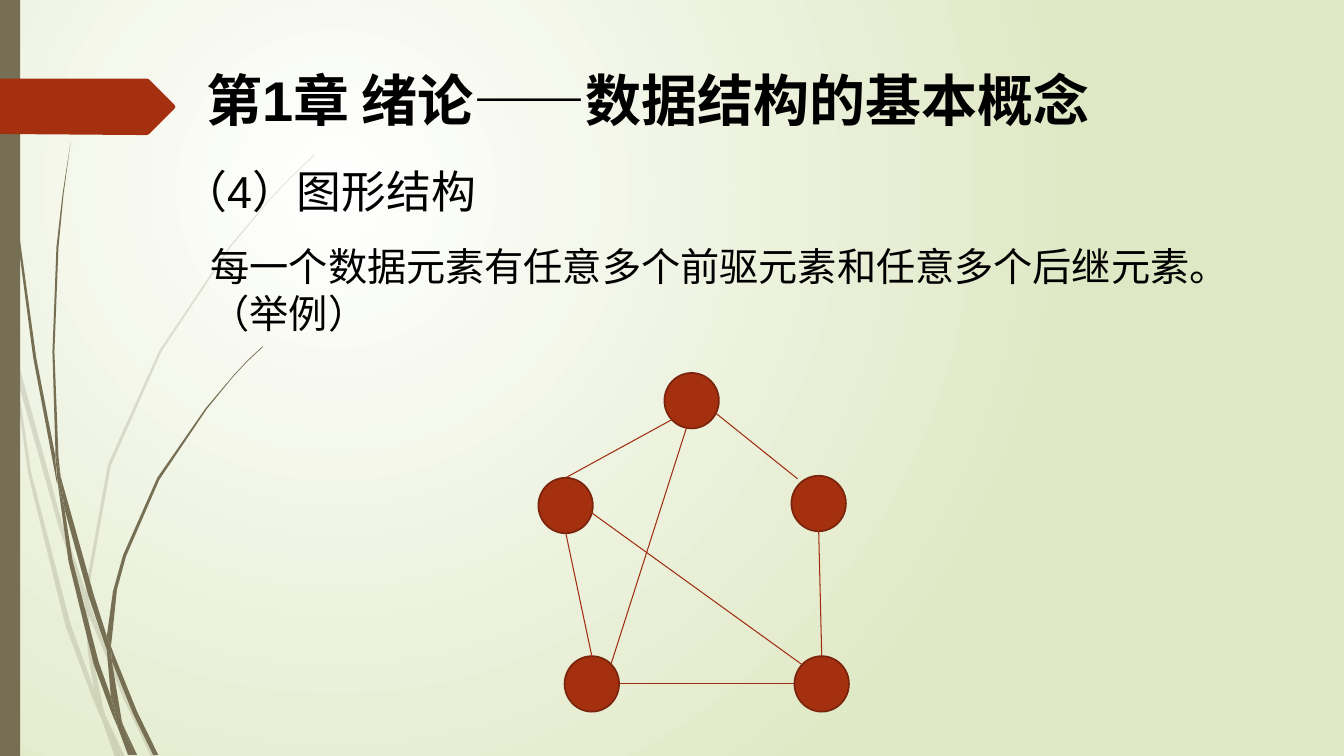
from dataclasses import dataclass

from lxml import etree
from pptx import Presentation
from pptx.dml.color import RGBColor
from pptx.enum.shapes import MSO_CONNECTOR, MSO_SHAPE
from pptx.enum.text import MSO_ANCHOR, MSO_AUTO_SIZE, PP_ALIGN
from pptx.oxml.ns import qn
from pptx.util import Inches, Pt

STRAIGHT = MSO_CONNECTOR.STRAIGHT
OVAL, RECTANGLE = MSO_SHAPE.OVAL, MSO_SHAPE.RECTANGLE
MIDDLE, TOP = MSO_ANCHOR.MIDDLE, MSO_ANCHOR.TOP
FIXED, GROW = MSO_AUTO_SIZE.NONE, MSO_AUTO_SIZE.SHAPE_TO_FIT_TEXT
CENTER, LEFT = PP_ALIGN.CENTER, PP_ALIGN.LEFT


@dataclass(frozen=True)
class Theme:
    font: str = "Arial"
    title_size: int = 40
    heading_size: int = 32
    body_size: int = 28
    text: str = "000000"
    accent: str = "A53010"
    node_line: str = "7A240C"
    edge: str = "9E2E0F"
    grass: str = "766F54"
    glow: str = "FFFFFF"
    backdrop: str = "DFE8C4"
    pale_opacity: int = 20


# Outlines of the grass blades, in inches
PALE_BLADES = [
    [(0.11, 3.5), (0.09, 3.22), (0, 2.82), (0, 2.99), (0.1, 3.44)],
    [(0.58, 5.22), (0.84, 5.99), (0.85, 5.86), (0.62, 5.2), (0.14, 3.45), (0.17, 3.76)],
    [(0.92, 6.07), (0.88, 5.96), (0.88, 6.1), (1.23, 6.94), (1.5, 7.51), (1.55, 7.51),
     (1.27, 6.92)],
    [(1.19, 7.51), (1.24, 7.51), (1.05, 7.11)],
    [(0.93, 6.83), (0.7, 6.19), (0.31, 4.69), (0.17, 3.76), (0.11, 3.5), (0.28, 4.7),
     (0.65, 6.21), (0.92, 6.93), (1.01, 7.14), (0.99, 7.07)],
    [(0.84, 5.99), (0.87, 6.46), (0.93, 6.83), (0.96, 6.92), (1.05, 7.11), (1.03, 7.06),
     (0.91, 6.46), (0.88, 6.1), (0.88, 6.08)],
    [(0.88, 5.84), (1.1, 4.62), (1.6, 3.49), (2.29, 2.45), (2.68, 1.98), (2.9, 1.75),
     (3.12, 1.54), (3.12, 1.53), (2.89, 1.75), (2.68, 1.97), (2.28, 2.44), (1.58, 3.48),
     (1.07, 4.61), (0.85, 5.84), (0.85, 5.86), (0.88, 5.96)],
    [(1.01, 7.14), (1.14, 7.51), (1.19, 7.51)],
    [(0.88, 6.08), (0.88, 6.1), (0.88, 5.96), (0.85, 5.86), (0.84, 5.99)],
    [(0.96, 6.92), (0.93, 6.83), (0.99, 7.07), (1.01, 7.14), (1.19, 7.51), (1.05, 7.11)],
]
DARK_BLADES = [
    [(0.07, 1.1), (0.17, 2.33), (0.33, 3.55), (0.56, 4.77), (0.57, 4.81), (0.55, 4.57),
     (0.55, 4.53), (0.36, 3.55), (0.19, 2.32), (0.08, 1.09), (0.05, 0.48), (0.04, 0),
     (0.03, 0), (0.04, 0.48)],
    [(0.88, 5.92), (1.06, 6.45), (1.06, 6.33), (1.06, 6.31), (0.93, 5.9), (0.6, 4.72),
     (0.64, 5.05)],
    [(1.13, 6.49), (1.1, 6.41), (1.11, 6.56), (1.32, 7.08), (1.52, 7.49), (1.57, 7.49),
     (1.36, 7.06)],
    [(1.1, 6.91), (0.98, 6.57), (0.72, 5.56), (0.64, 5.05), (0.57, 4.77), (0.68, 5.57),
     (0.93, 6.59), (1.11, 7.08), (1.17, 7.22), (1.16, 7.17)],
    [(0.6, 4.72), (0.58, 4.53), (0.54, 3.49), (0.58, 2.45), (0.63, 1.93), (0.7, 1.41),
     (0.62, 1.93), (0.56, 2.45), (0.52, 3.49), (0.55, 4.49)],
    [(1.33, 7.49), (1.36, 7.49), (1.22, 7.19)],
    [(0.57, 4.77), (0.64, 5.05), (0.6, 4.72), (0.55, 4.49), (0.55, 4.53)],
    [(1.11, 6.33), (1.16, 5.85), (1.25, 5.52), (1.58, 4.76), (2.05, 4.06), (2.31, 3.74),
     (2.45, 3.59), (2.61, 3.44), (2.6, 3.44), (2.45, 3.58), (2.31, 3.73), (2.04, 4.05),
     (1.56, 4.74), (1.22, 5.51), (1.12, 5.87), (1.06, 6.31), (1.1, 6.41)],
    [(1.17, 7.22), (1.27, 7.49), (1.31, 7.49)],
    [(1.06, 6.45), (1.1, 6.91), (1.16, 7.06), (1.22, 7.19), (1.21, 7.16), (1.11, 6.56),
     (1.09, 6.51)],
    [(1.06, 6.45), (1.09, 6.51), (1.11, 6.56), (1.1, 6.41), (1.06, 6.31), (1.06, 6.33)],
    [(1.16, 7.06), (1.1, 6.91), (1.16, 7.17), (1.17, 7.22), (1.3, 7.49), (1.33, 7.49),
     (1.22, 7.19)],
]
ARROW_TAB = [(0, 0.78), (1.46, 0.78), (1.48, 0.79), (1.73, 1.04), (1.74, 1.06),
             (1.73, 1.08), (1.48, 1.33), (1.46, 1.34), (1.36, 1.34), (0, 1.33)]

NODE_SIZE = (0.54, 0.55)
NODES = [(7.85, 4.72), (5.6, 6.51), (6.59, 3.7), (5.34, 4.74), (7.88, 6.51)]
EDGES = [
    ((5.87, 6.51), (5.61, 5.28)),
    ((6.67, 4.16), (5.61, 4.74)),
    ((7.1, 4.1), (7.91, 4.75)),
    ((6.14, 6.78), (7.88, 6.78)),
    ((8.15, 6.51), (8.12, 5.26)),
    ((7.95, 6.59), (5.83, 5.06)),
    ((6.06, 6.59), (6.81, 4.24)),
]


class SlidePainter:
    def __init__(self, page, theme):
        self.page = page
        self.theme = theme

    def background(self):
        """Fill the page with a radial glow centred in its upper left quarter."""
        fill = self.page.background.fill
        fill.gradient()
        for stop, color in zip(fill.gradient_stops, (self.theme.glow, self.theme.backdrop)):
            stop.color.rgb = RGBColor.from_string(color)
        gradient = self.page.background._cSld.find(".//" + qn("a:gradFill"))
        linear = gradient.find(qn("a:lin"))
        radial = etree.Element(qn("a:path"), path="circle")
        etree.SubElement(radial, qn("a:fillToRect"), l="50000", t="50000", r="100000", b="100000")
        gradient.replace(linear, radial)

    def group(self):
        return self.page.shapes.add_group_shape().shapes

    def paint(self, shape, color, line=None, opacity=100):
        shape.shadow.inherit = False
        shape.fill.solid()
        shape.fill.fore_color.rgb = RGBColor.from_string(color)
        if opacity < 100:
            tint = shape.fill._xPr.find(".//" + qn("a:srgbClr"))
            etree.SubElement(tint, qn("a:alpha"), val=str(opacity * 1000))
        if line:
            shape.line.color.rgb = RGBColor.from_string(line)
            shape.line.width = Pt(1.25)
        else:
            shape.line.fill.background()

    def outline(self, shapes, points, color, opacity=100):
        start, *rest = [(Inches(x), Inches(y)) for x, y in points]
        builder = shapes.build_freeform(*start)
        builder.add_line_segments(rest, close=True)
        self.paint(builder.convert_to_shape(), color, opacity=opacity)

    def preset(self, shapes, kind, bounds, color, line=None):
        self.paint(shapes.add_shape(kind, *map(Inches, bounds)), color, line)

    def edge(self, shapes, start, end):
        connector = shapes.add_connector(STRAIGHT, *map(Inches, start + end))
        connector.line.color.rgb = RGBColor.from_string(self.theme.edge)
        connector.line.width = Pt(0.75)
        etree.SubElement(connector._element.spPr, qn("a:effectLst"))

    def fill_text(self, box, lines, size, bold=False, align=LEFT, spacing=1.0, **frame_format):
        frame = box.text_frame
        for name, value in {"word_wrap": True, **frame_format}.items():
            setattr(frame, name, value)
        font_format = {"name": self.theme.font, "size": Pt(size), "bold": bold}
        for index, line in enumerate(lines):
            para = frame.add_paragraph() if index else frame.paragraphs[0]
            para.alignment, para.line_spacing = align, spacing
            span = para.add_run()
            span.text = line
            for name, value in font_format.items():
                setattr(span.font, name, value)
            span.font.color.rgb = RGBColor.from_string(self.theme.text)

    def text(self, bounds, lines, size):
        box = self.page.shapes.add_textbox(*map(Inches, bounds))
        self.fill_text(box, lines, size, vertical_anchor=TOP, auto_size=GROW)

    def title(self, bounds, line):
        box = self.page.shapes.title
        for name, value in zip(("left", "top", "width", "height"), bounds):
            setattr(box, name, Inches(value))
        self.fill_text(box, [line], self.theme.title_size, bold=True, align=CENTER, spacing=0.9,
                       vertical_anchor=MIDDLE, auto_size=FIXED)


def main():
    deck = Presentation()
    deck.slide_width, deck.slide_height = Inches(13.33), Inches(7.5)
    page = deck.slides.add_slide(deck.slide_layouts[5])
    theme = Theme()
    painter = SlidePainter(page, theme)

    painter.background()
    for blades, opacity in ((PALE_BLADES, theme.pale_opacity), (DARK_BLADES, 100)):
        grass = painter.group()
        for blade in blades:
            painter.outline(grass, blade, theme.grass, opacity)
    painter.preset(page.shapes, RECTANGLE, (0, 0, 0.2, 7.5), theme.grass)
    painter.outline(page.shapes, ARROW_TAB, theme.accent)

    painter.title((1.75, 0.56, 9.35, 0.93), "第1章 绪论——数据结构的基本概念")
    painter.text((1.71, 1.58, 8.72, 0.64), ["（4）图形结构"], theme.heading_size)

    graph = painter.group()
    for node in NODES:
        painter.preset(graph, OVAL, node + NODE_SIZE, theme.accent, theme.node_line)
    for start, end in EDGES:
        painter.edge(graph, start, end)

    painter.text((1.99, 2.35, 10.79, 1.04),
                 ["每一个数据元素有任意多个前驱元素和任意多个后继元素。", "（举例）"],
                 theme.body_size)
    deck.save("out.pptx")


if __name__ == "__main__":
    main()
